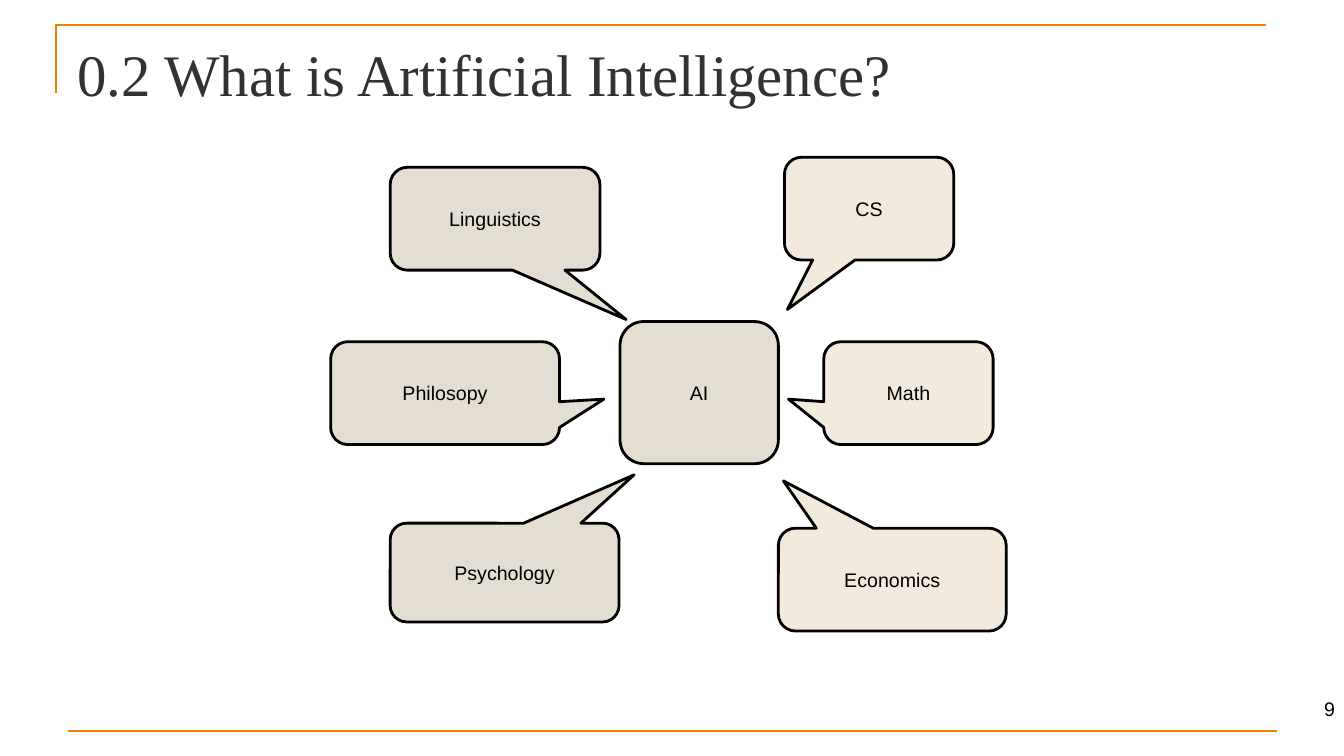
from lxml import etree
from pptx import Presentation
from pptx import util as u
from pptx.dml.color import RGBColor
from pptx.enum import shapes, text
from pptx.oxml.ns import qn

PX = 9144  # EMU in one px, 100 px to the inch


def color(hex_code):
    return RGBColor.from_string(hex_code)


class Slide:
    ACCENT, INK, TITLE_INK = "F07F09", "000000", "323232"
    SANS, SERIF = "Arial", "Times New Roman"

    def __init__(self, deck):
        self.shapes = deck.slides.add_slide(deck.slide_layouts[6]).shapes

    def stroke(self, line, hex_code, points):
        line.color.rgb = color(hex_code)
        line.width = u.Pt(points)

    def set_words(self, shape, words, size, font, ink, align, anchor):
        frame = shape.text_frame
        frame.word_wrap = True
        frame.vertical_anchor = anchor
        frame.text = words
        paragraph = frame.paragraphs[0]
        paragraph.alignment = align
        style = paragraph.runs[0].font
        style.size, style.name = u.Pt(size), font
        style.color.rgb = color(ink)

    def rule(self, x1, y1, x2, y2):
        rule = self.shapes.add_connector(
            shapes.MSO_CONNECTOR.STRAIGHT, x1 * PX, y1 * PX, x2 * PX, y2 * PX)
        self.stroke(rule.line, self.ACCENT, 1.5)
        etree.SubElement(rule._element.spPr, qn("a:effectLst"))

    def corner(self, start, *points):
        builder = self.shapes.build_freeform(*start, scale=PX)
        builder.add_line_segments(points, close=False)
        corner = builder.convert_to_shape()
        corner.shadow.inherit = False
        corner.fill.background()
        self.stroke(corner.line, self.ACCENT, 1.5)

    def label(self, box, words, size, font, ink, align, anchor):
        label = self.shapes.add_textbox(*(n * PX for n in box))
        self.set_words(label, words, size, font, ink, align, anchor)
        return label

    def bubble(self, box, words, fill, tip=None):
        kinds = shapes.MSO_SHAPE
        kind = kinds.ROUNDED_RECTANGULAR_CALLOUT if tip else kinds.ROUNDED_RECTANGLE
        bubble = self.shapes.add_shape(kind, *(n * PX for n in box))
        if tip:
            # The tip is measured from the centre, as a share of the size
            left, top, width, height = box
            bubble.adjustments[0] = (tip[0] - left) / width - 0.5
            bubble.adjustments[1] = (tip[1] - top) / height - 0.5
        bubble.shadow.inherit = False
        bubble.fill.solid()
        bubble.fill.fore_color.rgb = color(fill)
        self.stroke(bubble.line, self.INK, 2)
        self.set_words(bubble, words, 14, self.SANS, self.INK,
                       text.PP_ALIGN.CENTER, text.MSO_ANCHOR.MIDDLE)


def main():
    deck = Presentation()
    deck.slide_width, deck.slide_height = u.Inches(13.33), u.Inches(7.5)
    slide = Slide(deck)

    # Frame lines
    slide.corner((56, 92), (56, 25), (1256, 25))
    slide.rule(67, 725, 1267, 725)

    # Title and page number
    title = slide.label((67, 30, 1200, 78), "0.2 What is Artificial Intelligence?",
                        42, slide.SERIF, slide.TITLE_INK,
                        text.PP_ALIGN.LEFT, text.MSO_ANCHOR.BOTTOM)
    title.text_frame.margin_bottom = PX
    slide.label((1303, 688, 31, 31), "9", 14, slide.SANS, slide.INK,
                text.PP_ALIGN.RIGHT, text.MSO_ANCHOR.MIDDLE)

    # AI in the middle, with the fields that point to it
    grey, cream = "E3DED1", "F3EADE"
    slide.bubble((615, 319, 157, 141), "AI", grey)
    fields = [
        ("CS", (778, 156, 168, 102), cream, (781, 307)),
        ("Math", (817, 339, 168, 102), cream, (782, 396)),
        ("Economics", (772, 524, 226, 102), cream, (777, 477)),
        ("Philosopy", (328, 339, 227, 102), grey, (599, 396)),
        ("Linguistics", (387, 166, 208, 102), grey, (621, 317)),
        ("Psychology", (387, 519, 227, 98), grey, (629, 471)),
    ]
    for field, box, fill, tip in fields:
        slide.bubble(box, field, fill, tip)

    deck.save("out.pptx")


if __name__ == "__main__":
    main()
